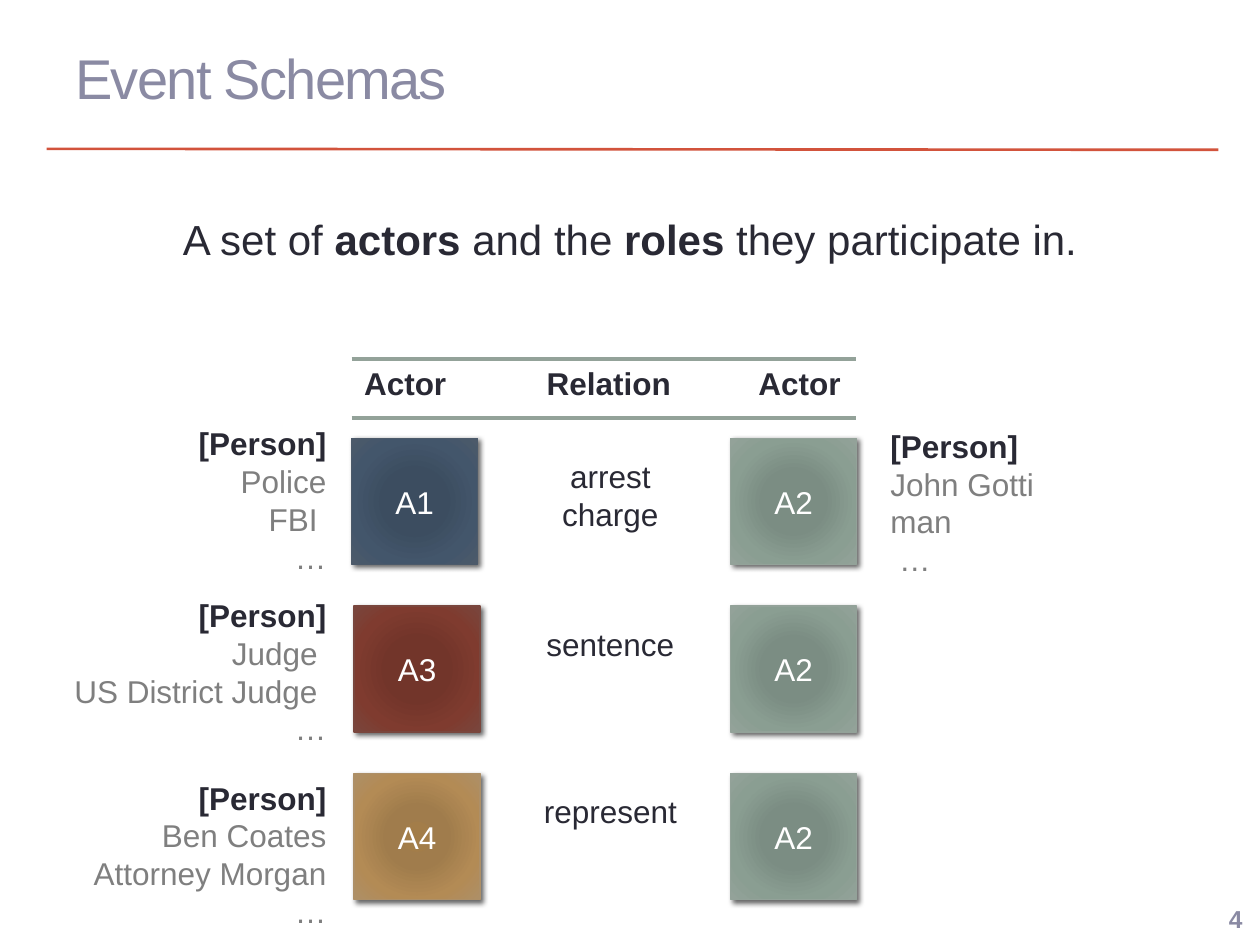
from pptx import Presentation
from pptx.dml.color import RGBColor
from pptx.enum.shapes import MSO_CONNECTOR, MSO_SHAPE
from pptx.enum.text import MSO_ANCHOR, PP_ALIGN
from pptx.oxml import parse_xml
from pptx.oxml.ns import nsdecls, qn
from pptx.util import Cm, Pt

LEFT, CENTER, RIGHT = PP_ALIGN.LEFT, PP_ALIGN.CENTER, PP_ALIGN.RIGHT
TOP, MIDDLE = MSO_ANCHOR.TOP, MSO_ANCHOR.MIDDLE
RECTANGLE, STRAIGHT = MSO_SHAPE.RECTANGLE, MSO_CONNECTOR.STRAIGHT

FONT = "Arial"
COLORS = {"title": "8A8AA3", "text": "292934", "example": "7F7F7F",
          "white": "FFFFFF", "title rule": "D2533C", "table rule": "93A299"}

# Radial gradient of each actor, from the centre outwards
ACTOR_COLORS = {
    "A1": ("3B4D61", "3C4D60", "43566B", "4C5A6A"),
    "A2": ("7B8E82", "7B8D83", "8A9E92", "93A299"),
    "A3": ("743327", "72352A", "7F3B2F", "79463D"),
    "A4": ("A37D49", "A07C4C", "B38B55", "AD8F67"),
}
GRADIENT_STOPS = (0, 34, 70, 100)

TITLE = "Event Schemas"
DEFINITION = [("A set of ", False), ("actors", True), (" and the ", False),
              ("roles", True), (" they participate in.", False)]
PAGE_NUMBER = "4"

# Heading, left, width
HEADINGS = [("Actor", 7.09, 2.18), ("Relation", 10.77, 3.05), ("Actor", 15.04, 2.18)]

# First actor, its left, relations, second actor, examples of the first, their top
EVENTS = [
    ("A1", 7.09, ["arrest", "charge"], "A2",
     ["[Person]", "Police", "FBI ", "…"], 8.43),
    ("A3", 7.14, ["sentence"], "A2",
     ["[Person]", "Judge ", "US District Judge ", "…"], 11.89),
    ("A4", 7.14, ["represent"], "A2",
     ["[Person]", "Ben Coates Attorney Morgan", "…"], 15.57),
]
SECOND_ACTOR_EXAMPLES = ["[Person]", "John Gotti", "man", " …"]

FIRST_ROW, ROW_STEP, SQUARE = 8.84, 3.38, 2.54
SECOND_ACTOR_LEFT = 14.73
TABLE_LEFT, TABLE_RIGHT = 7.09, 17.26
EXAMPLES_LEFT, EXAMPLES_WIDTH, EXAMPLES_HEIGHT = 0.86, 5.97, 3.33

presentation = Presentation()
presentation.slide_width, presentation.slide_height = Cm(25.4), Cm(19.05)
slide = presentation.slides.add_slide(presentation.slide_layouts[6])


def format_run(run, size, color, bold=False):
    run.font.name, run.font.size, run.font.bold = FONT, Pt(size), bold
    run.font.color.rgb = RGBColor.from_string(COLORS[color])


def add_text(lines, left, top, width, height, size=18, color="text", bold=False,
             align=LEFT, anchor=TOP, wrap=True):
    box = slide.shapes.add_textbox(Cm(left), Cm(top), Cm(width), Cm(height))
    frame = box.text_frame
    frame.word_wrap, frame.vertical_anchor = wrap, anchor
    frame.text = "\n".join(lines)
    for paragraph in frame.paragraphs:
        paragraph.alignment = align
        for run in paragraph.runs:
            format_run(run, size, color, bold)
    return frame


def add_examples(lines, left, top, width, align):
    """List an actor's type in bold, followed by its examples in grey."""
    frame = add_text(lines, left, top, width, EXAMPLES_HEIGHT,
                     color="example", align=align)
    format_run(frame.paragraphs[0].runs[0], 18, "text", bold=True)


def add_rule(x1, y1, x2, y2, color, width):
    rule = slide.shapes.add_connector(STRAIGHT, Cm(x1), Cm(y1), Cm(x2), Cm(y2))
    rule.line.color.rgb = RGBColor.from_string(COLORS[color])
    rule.line.width = Pt(width)
    rule._element.spPr.append(parse_xml(f"<a:effectLst {nsdecls('a')}/>"))


def add_actor(actor, left, top):
    square = slide.shapes.add_shape(RECTANGLE, Cm(left), Cm(top), Cm(SQUARE), Cm(SQUARE))
    shades = ACTOR_COLORS[actor]
    square.line.color.rgb = RGBColor.from_string(shades[-1])
    square.line.width = Pt(0.75)

    stops = "".join(f'<a:gs pos="{stop * 1000}"><a:srgbClr val="{shade}"/></a:gs>'
                    for stop, shade in zip(GRADIENT_STOPS, shades))
    square.fill.gradient()
    properties = square._element.spPr
    properties.replace(properties.find(qn("a:gradFill")), parse_xml(
        f'<a:gradFill {nsdecls("a")} rotWithShape="1"><a:gsLst>{stops}</a:gsLst>'
        '<a:path path="circle"><a:fillToRect l="100000" t="100000" r="100000" '
        'b="100000"/></a:path></a:gradFill>'))

    square.shadow.inherit = False
    properties.find(qn("a:effectLst")).append(parse_xml(
        f'<a:outerShdw {nsdecls("a")} blurRad="38100" dist="25400" dir="2700000" '
        'rotWithShape="0"><a:srgbClr val="000000"><a:alpha val="60000"/>'
        '</a:srgbClr></a:outerShdw>'))

    frame = square.text_frame
    frame.text, frame.vertical_anchor = actor, MIDDLE
    frame.paragraphs[0].alignment = CENTER
    format_run(frame.paragraphs[0].runs[0], 18, "white")


add_rule(0.94, 3, 24.56, 3.02, "title rule", 1.5)
title = add_text([TITLE], 1.27, 0.18, 22.86, 2.74, 32, "title", anchor=MIDDLE)
title.paragraphs[0].runs[0].font._element.set("spc", "-100")

definition = add_text([""], 1.27, 4.17, 22.86, 1.95, align=CENTER).paragraphs[0]
for words, is_bold in DEFINITION:
    run = definition.add_run()
    run.text = words
    format_run(run, 24, "text", is_bold)

for rule_top in (7.24, 8.43):
    add_rule(TABLE_LEFT, rule_top, TABLE_RIGHT, rule_top, "table rule", 2.08)
for heading, left, width in HEADINGS:
    add_text([heading], left, 7.21, width, 1.02, bold=True, wrap=False)

for row, (first, first_left, relations, second, examples, examples_top) in enumerate(EVENTS):
    top = FIRST_ROW + row * ROW_STEP
    add_actor(first, first_left, top)
    add_actor(second, SECOND_ACTOR_LEFT, top)
    add_text(relations, 10.59, top + 0.25, 3.43, 0.25 + 0.77 * len(relations),
             align=CENTER)
    add_examples(examples, EXAMPLES_LEFT, examples_top, EXAMPLES_WIDTH, RIGHT)
add_examples(SECOND_ACTOR_EXAMPLES, 17.7, 8.48, 7.7, LEFT)

add_text([PAGE_NUMBER], 23.8, 18.06, 1.5, 0.91, 14, "title", bold=True,
         align=RIGHT, anchor=MIDDLE)

presentation.save("out.pptx")
